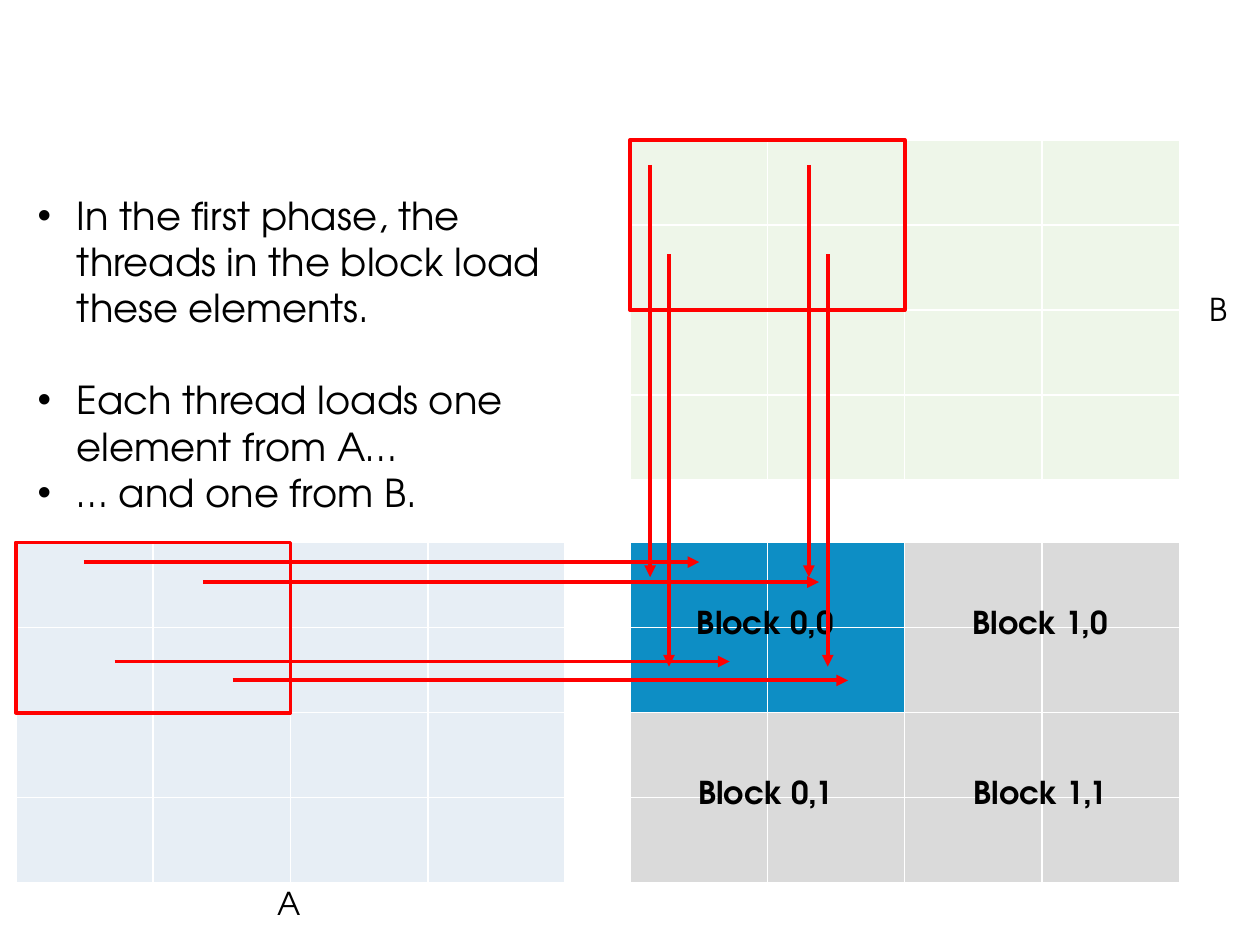
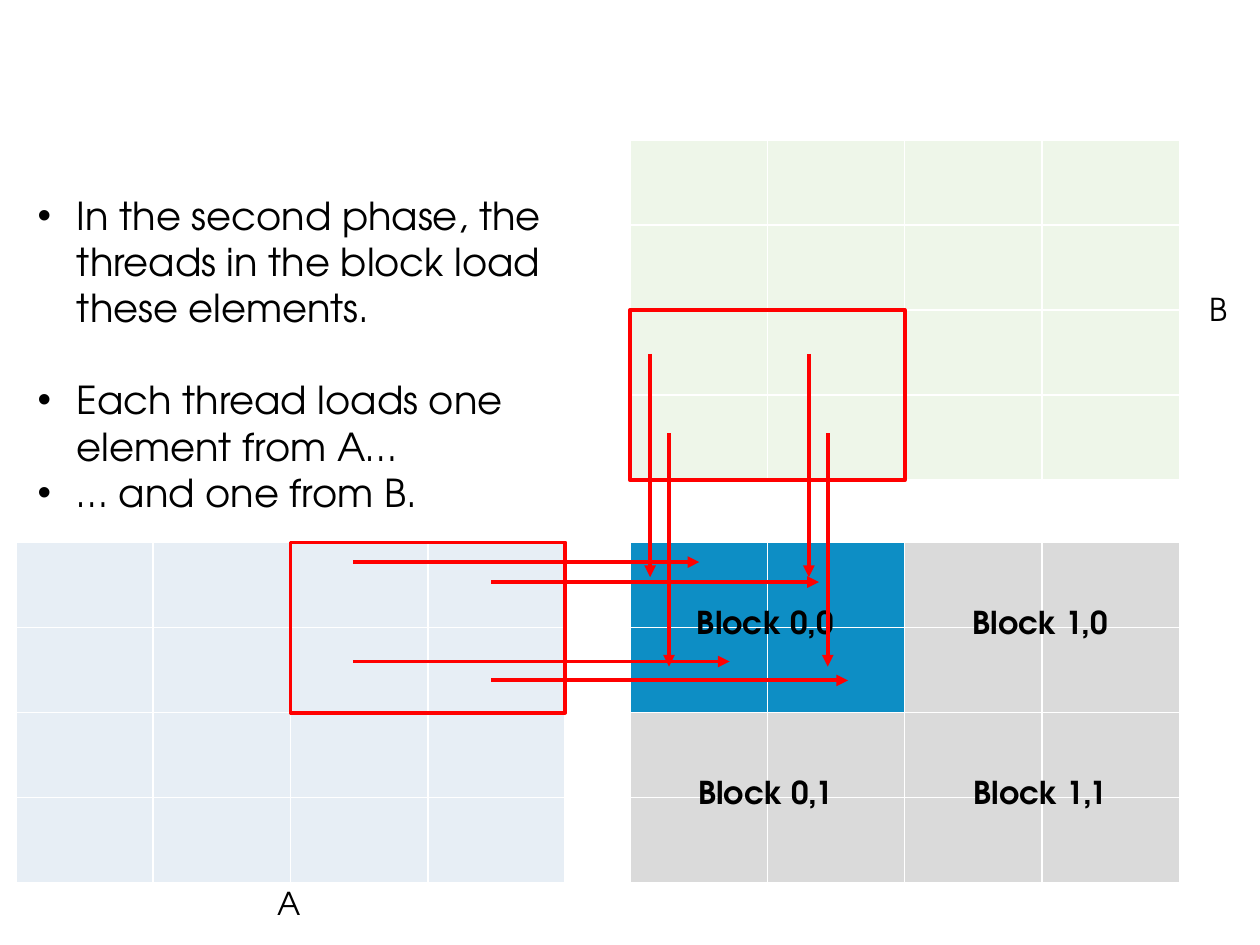
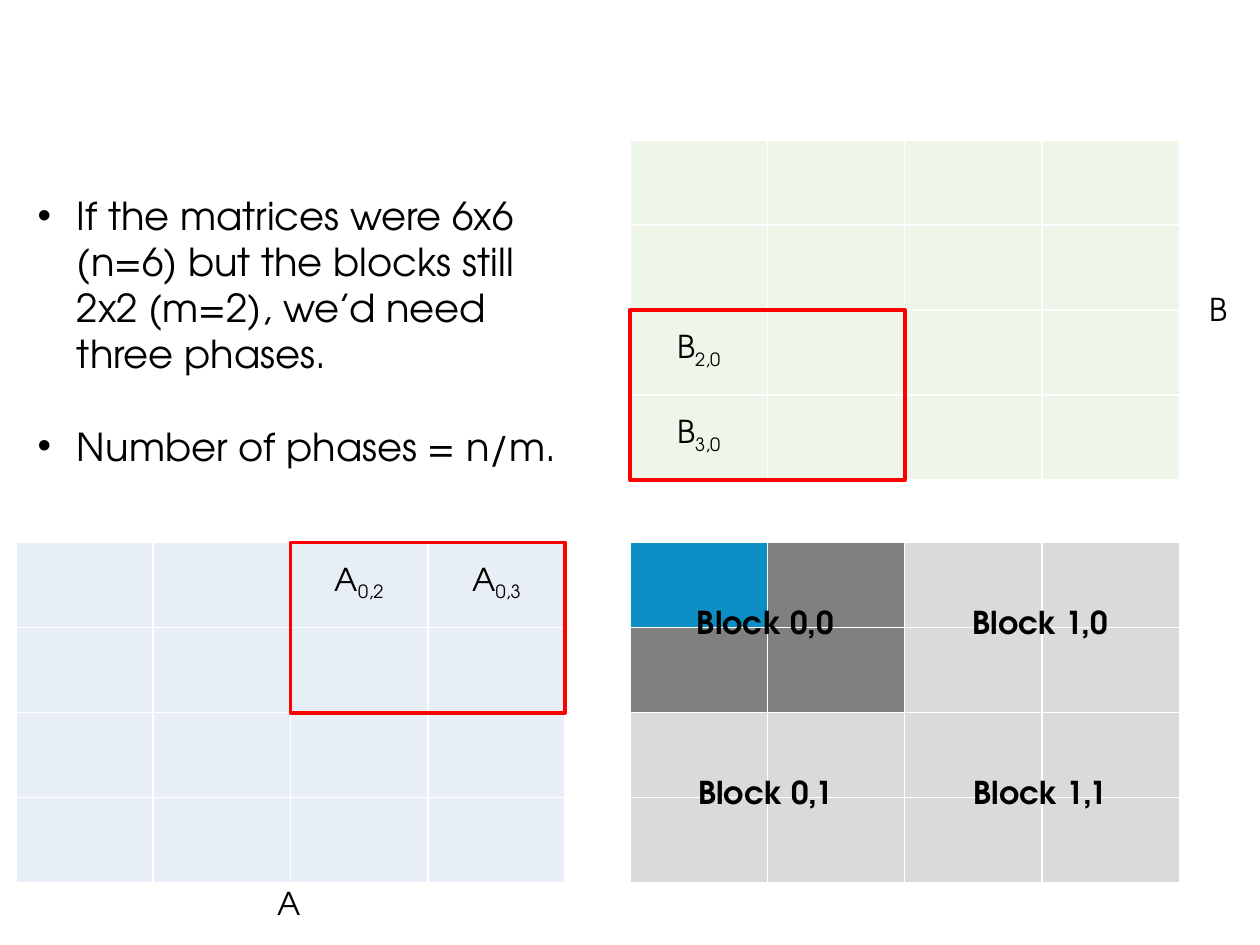
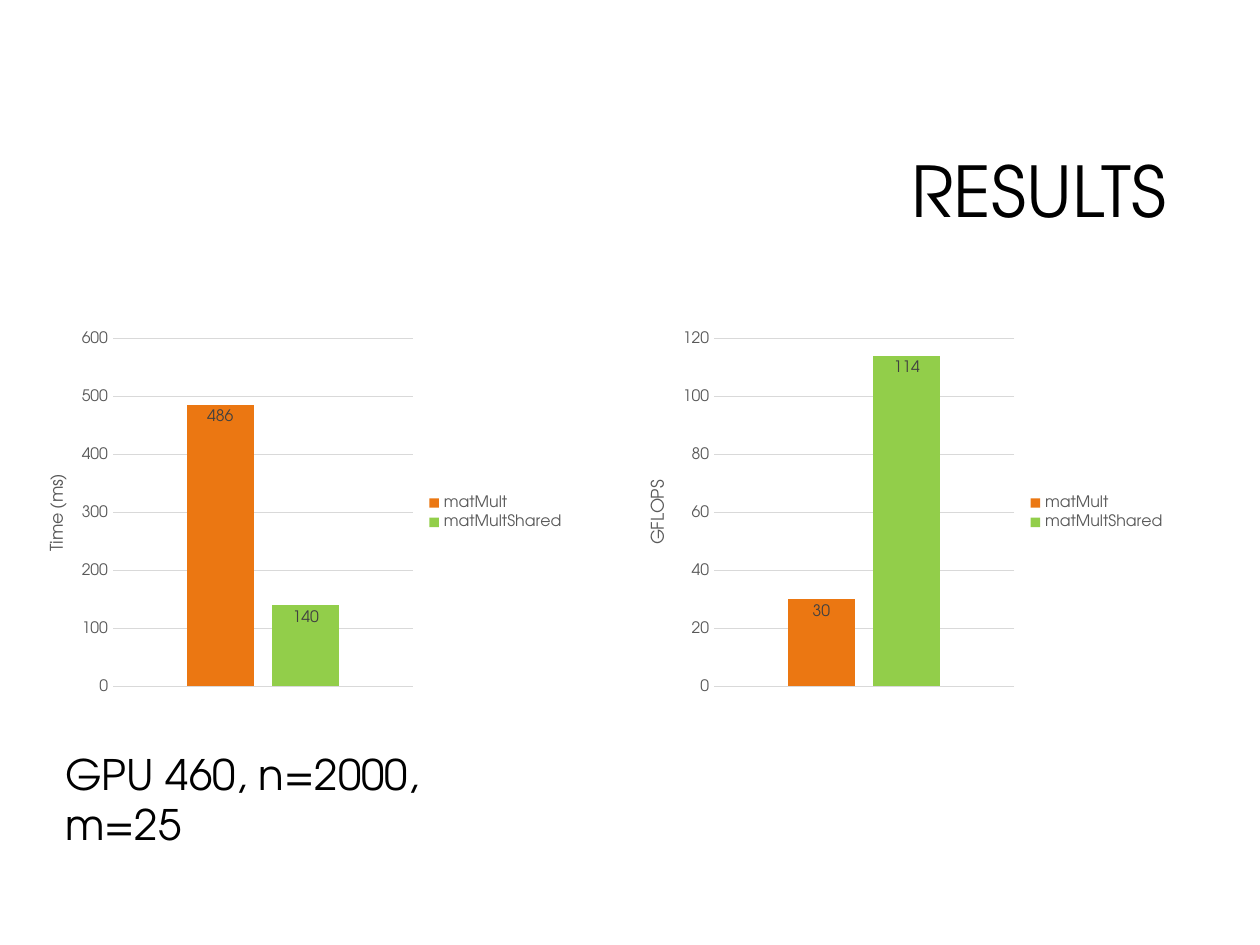
import copy
import dataclasses

import pptx
import pptx.chart.data
import pptx.dml.color
import pptx.enum.chart
import pptx.enum.shapes
import pptx.enum.text
import pptx.oxml
import pptx.oxml.ns
import pptx.util

Pt = pptx.util.Pt
RGB = pptx.dml.color.RGBColor.from_string
ALIGN = pptx.enum.text.PP_ALIGN
ANCHOR = pptx.enum.text.MSO_ANCHOR
DRAWING = pptx.oxml.ns.nsdecls("a")


@dataclasses.dataclass(frozen=True)
class Theme:
    font: str = "TeX Gyre Adventor"
    ink: str = "000000"
    grid_line: str = "FFFFFF"
    a_fill: str = "E7EEF5"
    b_fill: str = "EEF6E9"
    block_fill: str = "DADADA"
    active: str = "0D8EC5"
    waiting: str = "808080"
    accent: str = "FF0000"
    chart_ink: str = "595959"
    chart_value: str = "404040"
    chart_grid: str = "D9D9D9"
    series: tuple = ("EB7712", "92CE4A")
    title_size: float = 40
    note_size: float = 24
    bullet_size: float = 22
    label_size: float = 18
    axis_title_size: float = 10
    chart_size: float = 9
    accent_width: float = 2.25


THEME = Theme()

# ---- Content: a bullet is (text, starts a new group) ----
LOAD_BULLETS = [("Each thread loads one element from A…", True), ("… and one from B.", False)]
ALL_ACTIVE = {(row, col): THEME.active for row in (0, 1) for col in (0, 1)}

PHASES = [
    {
        "bullets": [("In the first phase, the threads in the block load these elements.", False),
                    *LOAD_BULLETS],
        "tile": 0,
        "threads": ALL_ACTIVE,
        "a_starts": (48, 116, 65.5, 133),
        "b_starts": (94.3, 145.4),
    },
    {
        "bullets": [("In the second phase, the threads in the block load these elements.", False),
                    *LOAD_BULLETS],
        "tile": 1,
        "threads": ALL_ACTIVE,
        "a_starts": (201.6, 280.8, 201.6, 280.8),
        "b_starts": (202.3, 247.7),
    },
    {
        "bullets": [("If the matrices were 6x6 (n=6) but the blocks still 2x2 (m=2), "
                     "we’d need three phases.", False),
                    ("Number of phases = n/m.", True)],
        "tile": 1,
        "threads": {**dict.fromkeys(ALL_ACTIVE, THEME.waiting), (0, 0): THEME.active},
        "a_elements": {(0, 2): ("A", "0,2"), (0, 3): ("A", "0,3")},
        "b_elements": {(2, 0): ("B", "2,0"), (3, 0): ("B", "3,0")},
    },
]

RESULTS = {
    "title": "RESULTS",
    "kernels": ("matMult", "matMultShared"),
    "measures": [("Time (ms)", (486, 140)), ("GFLOPS", (30, 114))],
    "note": "GPU 460, n=2000, m=25",
}

# ---- Geometry, in points ----
SLIDE_SIZE = (720, 540)
MATRIX_SIZE, TILE = 4, 2
CELL_W, CELL_H = 78.5, 48.6
SIDE_W, SIDE_H = MATRIX_SIZE * CELL_W, MATRIX_SIZE * CELL_H
TILE_W, TILE_H = TILE * CELL_W, TILE * CELL_H
A_AT, B_AT, C_AT = (9, 310), (360, 80), (360, 310)
LABEL_H = 29
A_ARROW_ENDS = [(399.6, 321.2), (468, 332.6), (416.9, 378), (484.6, 388.8)]
B_ARROW_COLUMNS = [(371.5, 382.3), (462.2, 473)]
B_ARROW_ENDS = (329.8, 380.9)
BULLET_INDENT = 22.5
GROUP_GAP = 26.4


def assign(target, values):
    for name, value in values.items():
        setattr(target, name, value)


def style(font, size, color=THEME.ink, bold=False):
    assign(font, {"name": THEME.font, "size": Pt(size), "bold": bold})
    font.color.rgb = RGB(color)


def box(*lengths):
    return [Pt(round(length, 2)) for length in lengths]


def add_text(slide, place, text, size, align=ALIGN.LEFT, bold=False):
    frame = slide.shapes.add_textbox(*box(*place)).text_frame
    frame.word_wrap = True
    paragraph = frame.paragraphs[0]
    paragraph.alignment = align
    run = paragraph.add_run()
    run.text = text
    style(run.font, size, bold=bold)
    return frame


def add_label(slide, center_x, top, width, text, bold=False):
    add_text(slide, (center_x - width / 2, top, width, LABEL_H), text,
             THEME.label_size, ALIGN.CENTER, bold)


def add_bullets(slide, bullets):
    frame = slide.shapes.add_textbox(*box(14.4, 106, 317.5, 194)).text_frame
    frame.word_wrap = True
    for index, (text, new_group) in enumerate(bullets):
        paragraph = frame.add_paragraph() if index else frame.paragraphs[0]
        if new_group:
            paragraph.space_before = Pt(GROUP_GAP)
        run = paragraph.add_run()
        run.text = text
        style(run.font, THEME.bullet_size)
        properties = paragraph._p.get_or_add_pPr()
        properties.set("marL", str(Pt(BULLET_INDENT)))
        properties.set("indent", str(-Pt(BULLET_INDENT)))
        for mark in ('a:buFont {} typeface="Arial"', 'a:buChar {} char="•"'):
            properties.append(pptx.oxml.parse_xml(f"<{mark.format(DRAWING)}/>"))


def add_border(cell):
    properties = cell._tc.get_or_add_tcPr()
    for side in ("lnL", "lnR", "lnT", "lnB"):
        properties.append(pptx.oxml.parse_xml(
            f'<a:{side} {DRAWING} w="{Pt(1)}"><a:solidFill>'
            f'<a:srgbClr val="{THEME.grid_line}"/></a:solidFill></a:{side}>'))


def write_element(cell, name, subscript):
    cell.vertical_anchor = ANCHOR.MIDDLE
    paragraph = cell.text_frame.paragraphs[0]
    paragraph.alignment = ALIGN.CENTER
    for text, baseline in ((name, 0), (subscript, -25000)):
        run = paragraph.add_run()
        run.text = text
        style(run.font, THEME.label_size)
        run._r.get_or_add_rPr().set("baseline", str(baseline))


def add_matrix(slide, at, fill, fills={}, elements={}):
    """Draw a square matrix; fills and elements are keyed by (row, column)."""
    table = slide.shapes.add_table(MATRIX_SIZE, MATRIX_SIZE,
                                   *box(*at, SIDE_W, SIDE_H)).table
    assign(table, {"first_row": False, "horz_banding": False})
    for index in range(MATRIX_SIZE):
        table.columns[index].width = Pt(CELL_W)
        table.rows[index].height = Pt(CELL_H)
        for col in range(MATRIX_SIZE):
            cell, key = table.cell(index, col), (index, col)
            add_border(cell)
            cell.fill.solid()
            cell.fill.fore_color.rgb = RGB(fills.get(key, fill))
            if key in elements:
                write_element(cell, *elements[key])


def draw_accent(line):
    line.color.rgb = RGB(THEME.accent)
    line.width = Pt(THEME.accent_width)


def add_tile_frame(slide, left, top):
    frame = slide.shapes.add_shape(pptx.enum.shapes.MSO_SHAPE.RECTANGLE,
                                   *box(left, top, TILE_W, TILE_H))
    frame.shadow.inherit = False
    frame.fill.background()
    draw_accent(frame.line)


def add_arrows(slide, arrows):
    group = slide.shapes.add_group_shape()
    for start, end in arrows:
        arrow = group.shapes.add_connector(pptx.enum.shapes.MSO_CONNECTOR.STRAIGHT,
                                           *box(*start, *end))
        draw_accent(arrow.line)
        arrow.line._get_or_add_ln().append(
            pptx.oxml.parse_xml(f'<a:tailEnd {DRAWING} type="triangle"/>'))
        arrow._element.spPr.append(pptx.oxml.parse_xml(f"<a:effectLst {DRAWING}/>"))


def add_phase_slide(deck, phase):
    slide = deck.slides.add_slide(deck.slide_layouts[6])
    add_matrix(slide, C_AT, THEME.block_fill, phase["threads"])
    add_matrix(slide, B_AT, THEME.b_fill, elements=phase.get("b_elements", {}))
    add_matrix(slide, A_AT, THEME.a_fill, elements=phase.get("a_elements", {}))
    add_bullets(slide, phase["bullets"])
    for row in range(TILE):
        for col in range(TILE):
            add_label(slide, C_AT[0] + (col + 0.5) * TILE_W - 1,
                      C_AT[1] + row * TILE_H + 31, 102, f"Block {col},{row}", bold=True)

    add_tile_frame(slide, B_AT[0], B_AT[1] + phase["tile"] * TILE_H)
    add_tile_frame(slide, A_AT[0] + phase["tile"] * TILE_W, A_AT[1])
    if "a_starts" in phase:
        add_arrows(slide, [((x, end[1]), end)
                           for x, end in zip(phase["a_starts"], A_ARROW_ENDS)])
        add_arrows(slide, [((x, start), (x, end)) for columns in B_ARROW_COLUMNS
                           for x, start, end in zip(columns, phase["b_starts"], B_ARROW_ENDS)])

    add_label(slide, A_AT[0] + SIDE_W / 2 - 1, A_AT[1] + SIDE_H - 2.6, 45, "A")
    add_label(slide, B_AT[0] + SIDE_W + 22.5, B_AT[1] + SIDE_H / 2 - 15, 45, "B")


def fix_plot_area(chart):
    plot_area = chart._chartSpace.chart.plotArea
    for old in plot_area.findall(pptx.oxml.ns.qn("c:layout")):
        plot_area.remove(old)
    settings = {"layoutTarget": "inner", "xMode": "edge", "yMode": "edge",
                "x": 0.165, "y": 0.04, "w": 0.54, "h": 0.92}
    marks = "".join(f'<c:{name} val="{value}"/>' for name, value in settings.items())
    plot_area.insert(0, pptx.oxml.parse_xml(
        f'<c:layout {pptx.oxml.ns.nsdecls("c")}><c:manualLayout>{marks}'
        "</c:manualLayout></c:layout>"))


def add_measure_chart(slide, left, measure, values):
    data = pptx.chart.data.CategoryChartData()
    data.categories = ["1"]
    for kernel, value in zip(RESULTS["kernels"], values):
        data.add_series(kernel, [value])
    chart = slide.shapes.add_chart(pptx.enum.chart.XL_CHART_TYPE.COLUMN_CLUSTERED,
                                   *box(left, 185, 317.5, 216), data).chart
    assign(chart, {"has_title": False, "has_legend": True})
    style(chart.font, THEME.axis_title_size)
    assign(chart.legend, {"position": pptx.enum.chart.XL_LEGEND_POSITION.RIGHT,
                          "include_in_layout": False})
    style(chart.legend.font, THEME.chart_size, THEME.chart_ink)
    chart.category_axis.visible = False

    axis = chart.value_axis
    assign(axis, {"has_title": True, "has_major_gridlines": True,
                  "major_tick_mark": pptx.enum.chart.XL_TICK_MARK.NONE})
    axis.format.line.fill.background()
    axis.major_gridlines.format.line.color.rgb = RGB(THEME.chart_grid)
    axis.major_gridlines.format.line.width = Pt(0.75)
    style(axis.tick_labels.font, THEME.chart_size, THEME.chart_ink)
    caption = axis.axis_title.text_frame.paragraphs[0].add_run()
    caption.text = measure
    style(caption.font, THEME.axis_title_size, THEME.chart_ink)

    plot = chart.plots[0]
    assign(plot, {"gap_width": 219, "overlap": -27, "vary_by_categories": False})
    for series, color in zip(plot.series, THEME.series):
        series.format.fill.solid()
        series.format.fill.fore_color.rgb = RGB(color)
        assign(series.data_labels, {
            "show_value": True,
            "position": pptx.enum.chart.XL_LABEL_POSITION.INSIDE_END})
        style(series.data_labels.font, THEME.chart_size, THEME.chart_value)
    fix_plot_area(chart)


def add_results_slide(deck):
    slide = deck.slides.add_slide(deck.slide_layouts[5])
    title = slide.shapes.title
    assign(title, dict(zip(("left", "top", "width", "height"), box(171.4, 60.5, 502, 101.5))))
    title.text_frame.text = RESULTS["title"]
    title.text_frame.vertical_anchor = ANCHOR.MIDDLE
    paragraph = title.text_frame.paragraphs[0]
    assign(paragraph, {"alignment": ALIGN.RIGHT, "line_spacing": 0.9})
    style(paragraph.runs[0].font, THEME.title_size)
    for index, (measure, values) in enumerate(RESULTS["measures"]):
        add_measure_chart(slide, 12.2 + index * 343.5, measure, values)
    add_text(slide, (30.2, 424, 275, 36), RESULTS["note"], THEME.note_size)


def main():
    deck = pptx.Presentation()
    assign(deck, dict(zip(("slide_width", "slide_height"), box(*SLIDE_SIZE))))
    for phase in PHASES:
        add_phase_slide(deck, phase)
    add_results_slide(deck)
    deck.save("out.pptx")


if __name__ == "__main__":
    main()
